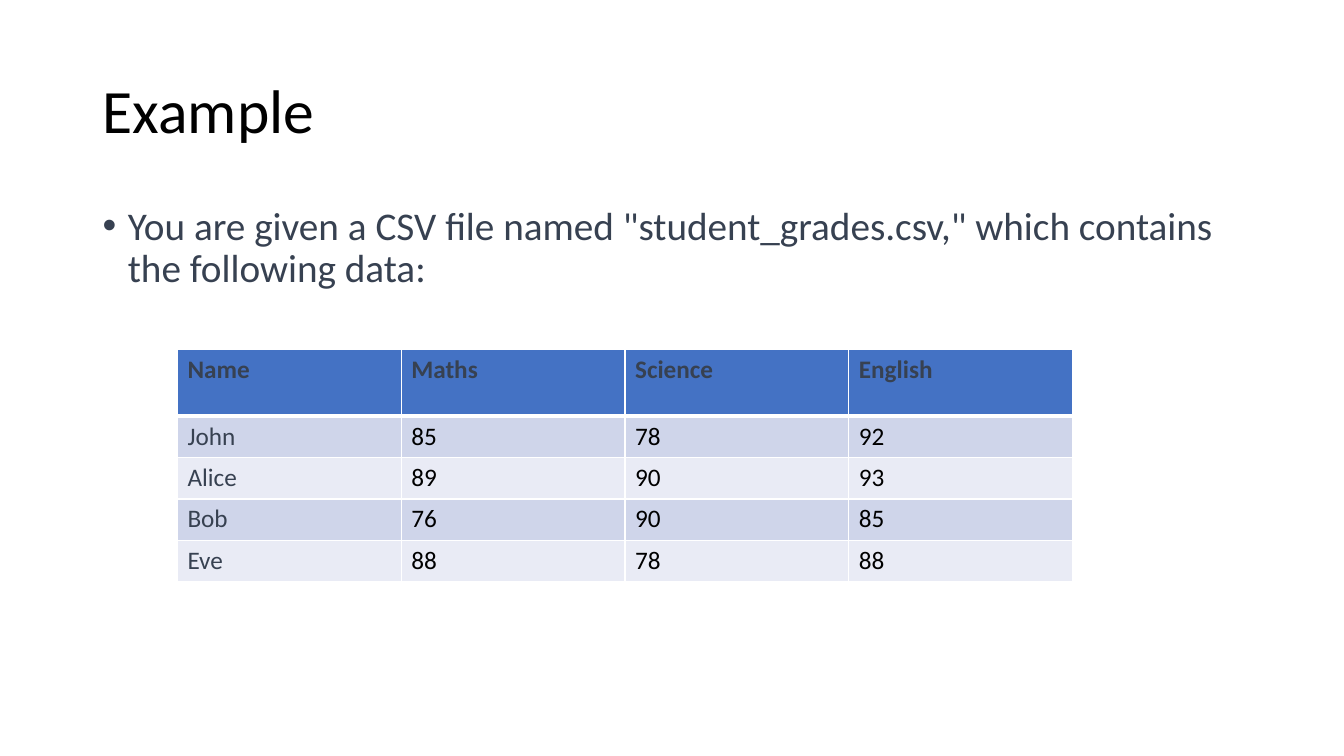
from lxml import etree
from pptx import Presentation
from pptx import util as u
from pptx.dml.color import RGBColor
from pptx.enum import text
from pptx.oxml.ns import qn

PX = 9144  # EMU per px, 100 px to the inch
FONT = "Calibri"
COLORS = {
    "black": "000000",
    "slate": "374151",
    "header": "4472C4",
    "odd": "CFD5EA",
    "even": "E9EBF5",
    "border": "FFFFFF",
}
GRADES = [
    ("Name", "Maths", "Science", "English"),
    ("John", "85", "78", "92"),
    ("Alice", "89", "90", "93"),
    ("Bob", "76", "90", "85"),
    ("Eve", "88", "78", "88"),
]


def px(length):
    return u.Emu(length * PX)


def rgb(color):
    return RGBColor.from_string(COLORS[color])


def set_font(paragraph, size, color, bold=False):
    font = paragraph.font
    font.name, font.size, font.bold = FONT, u.Pt(size), bold
    font.color.rgb = rgb(color)


def add_bullet(paragraph, indent):
    properties = paragraph._p.get_or_add_pPr()
    properties.set("marL", str(px(indent)))
    properties.set("indent", str(-px(indent)))
    etree.SubElement(properties, qn("a:buFont"), typeface="Arial")
    etree.SubElement(properties, qn("a:buChar"), char="•")


def add_text(slide, box, wording, size, color, anchor, indent=0):
    frame = slide.shapes.add_textbox(*map(px, box)).text_frame
    frame.word_wrap = True
    frame.vertical_anchor = anchor
    paragraph = frame.paragraphs[0]
    paragraph.text = wording
    paragraph.line_spacing = 0.9
    if indent:
        add_bullet(paragraph, indent)
    set_font(paragraph, size, color)


def set_borders(cell, widths):
    properties = cell._tc.get_or_add_tcPr()
    for side, width in widths.items():
        line = etree.SubElement(properties, qn(f"a:ln{side}"), w=str(u.Pt(width)))
        fill = etree.SubElement(line, qn("a:solidFill"))
        etree.SubElement(fill, qn("a:srgbClr"), val=COLORS["border"])


def fill_cell(cell, wording, row, column):
    header = row == 0
    # Thick rule between the header and the first student
    set_borders(cell, {"L": 1, "R": 1, "T": 3 if row == 1 else 1, "B": 3 if header else 1})
    cell.fill.solid()
    cell.fill.fore_color.rgb = rgb("header" if header else "odd" if row % 2 else "even")
    paragraph = cell.text_frame.paragraphs[0]
    paragraph.text = wording
    set_font(paragraph, 18, "slate" if header or column == 0 else "black", header)


def add_grades(slide, left, top, column_width, header_height, row_height):
    rows, columns = len(GRADES), len(GRADES[0])
    height = header_height + (rows - 1) * row_height
    box = map(px, (left, top, columns * column_width, height))
    grades = slide.shapes.add_table(rows, columns, *box).table
    for row, student in enumerate(GRADES):
        grades.rows[row].height = px(row_height if row else header_height)
        for column, wording in enumerate(student):
            fill_cell(grades.cell(row, column), wording, row, column)


def main():
    deck = Presentation()
    deck.slide_width, deck.slide_height = px(1333), px(750)
    slide = deck.slides.add_slide(deck.slide_layouts[6])

    # Title
    add_text(slide, (92, 40, 1150, 145), "Example", 44, "black", text.MSO_ANCHOR.MIDDLE)

    # Task
    task = 'You are given a CSV file named "student_grades.csv," which contains the following data:'
    add_text(slide, (92, 200, 1150, 476), task, 28, "slate", text.MSO_ANCHOR.TOP, indent=25)

    # Grades table
    add_grades(slide, 176, 347, 222, 66, 41)

    deck.save("out.pptx")


if __name__ == "__main__":
    main()
